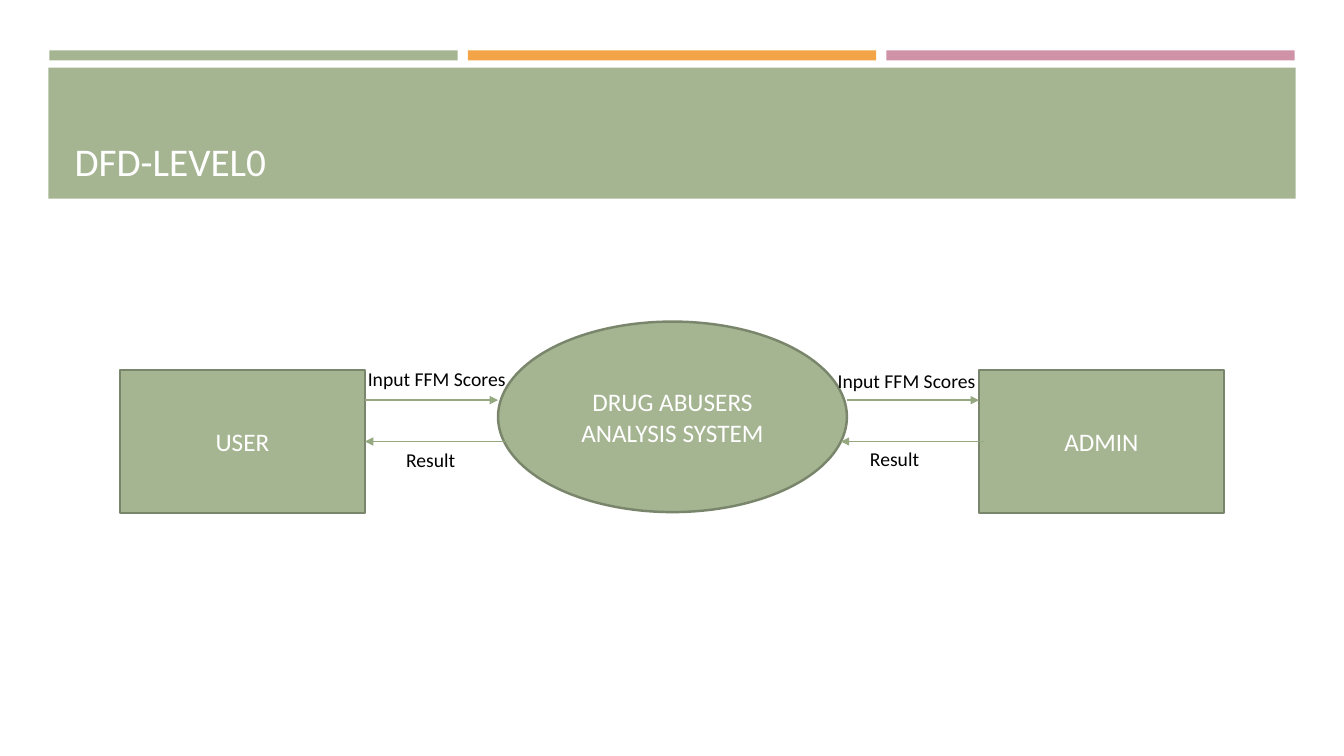
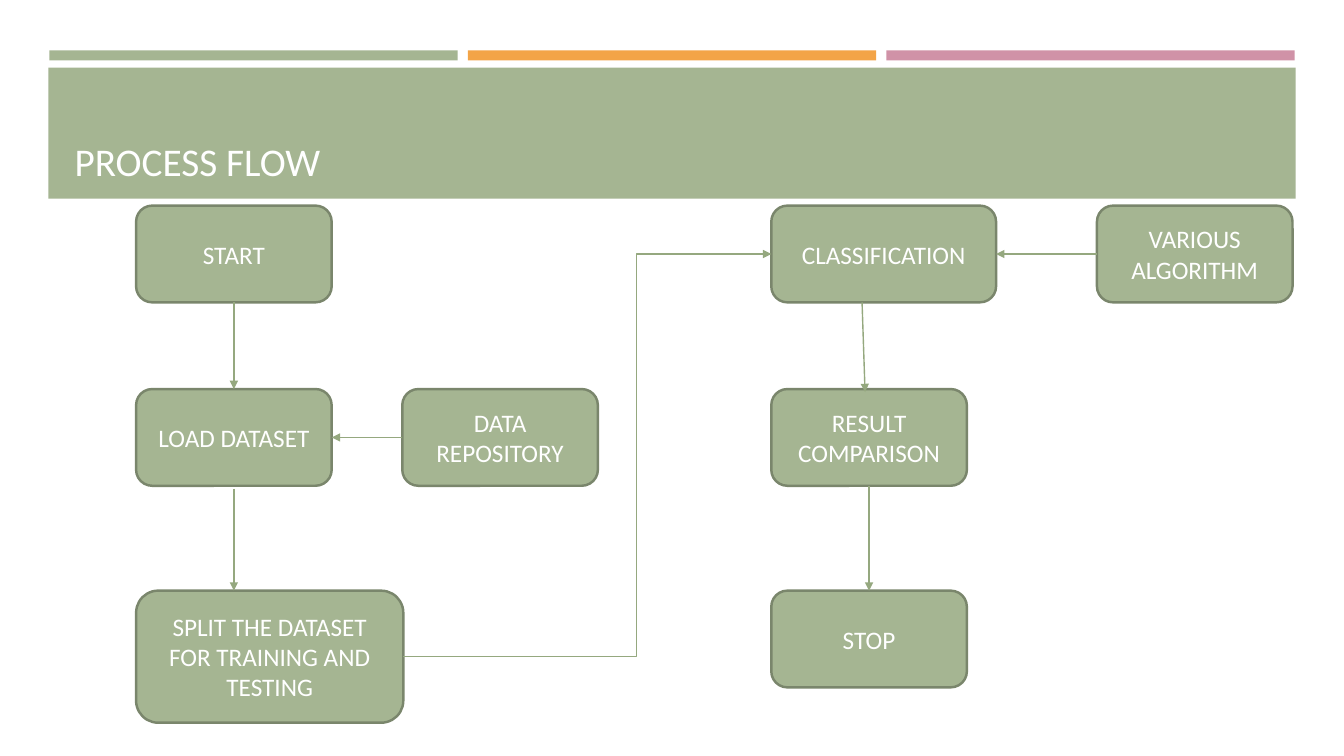
from dataclasses import dataclass

from lxml import etree
from pptx import Presentation
from pptx.dml.color import RGBColor
from pptx.enum.shapes import MSO_CONNECTOR, MSO_SHAPE
from pptx.enum.text import MSO_ANCHOR, MSO_AUTO_SIZE, PP_ALIGN
from pptx.oxml.ns import qn
from pptx.util import Inches, Pt

RECT, OVAL = MSO_SHAPE.RECTANGLE, MSO_SHAPE.OVAL
ROUND = MSO_SHAPE.ROUNDED_RECTANGLE
STRAIGHT, ELBOW = MSO_CONNECTOR.STRAIGHT, MSO_CONNECTOR.ELBOW
LEFT, CENTER = PP_ALIGN.LEFT, PP_ALIGN.CENTER
MIDDLE, BOTTOM = MSO_ANCHOR.MIDDLE, MSO_ANCHOR.BOTTOM
NO_FIT = MSO_AUTO_SIZE.NONE
SIDE_TOP, SIDE_LEFT, SIDE_BOTTOM, SIDE_RIGHT = range(4)


@dataclass(frozen=True)
class Theme:
    font: str = "Calibri"
    green: str = "A5B592"
    orange: str = "F3A447"
    pink: str = "D092A7"
    edge: str = "7A866C"
    arrow: str = "95A87F"
    white: str = "FFFFFF"
    black: str = "000000"
    title: int = 28
    node: int = 18
    label: int = 14
    border: float = 1.75
    stroke: float = 1


THEME = Theme()


def rgb(code):
    return RGBColor.from_string(code)


def write(frame, text, size, color, align):
    frame.text = text
    para = frame.paragraphs[0]
    para.alignment = align
    para.font.name = THEME.font
    para.font.size = Pt(size)
    para.font.color.rgb = rgb(color)


def block(slide, kind, box, color):
    """Add a plain filled shape; box is left, top, width, height in inches."""
    shape = slide.shapes.add_shape(kind, *map(Inches, box))
    shape.shadow.inherit = False
    shape.fill.solid()
    shape.fill.fore_color.rgb = rgb(color)
    shape.line.fill.background()
    return shape


def node(slide, kind, box, text):
    shape = block(slide, kind, box, THEME.green)
    shape.line.color.rgb = rgb(THEME.edge)
    shape.line.width = Pt(THEME.border)
    shape.text_frame.word_wrap = True
    shape.text_frame.vertical_anchor = MIDDLE
    write(shape.text_frame, text, THEME.node, THEME.white, CENTER)
    return shape


def label(slide, box, text):
    frame = slide.shapes.add_textbox(*map(Inches, box)).text_frame
    frame.word_wrap = True
    frame.margin_right = 0
    write(frame, text, THEME.label, THEME.black, LEFT)


def arrow(slide, start=(0, 0), end=(0, 0), kind=STRAIGHT):
    line = slide.shapes.add_connector(kind, *map(Inches, (*start, *end)))
    line.line.color.rgb = rgb(THEME.arrow)
    line.line.width = Pt(THEME.stroke)
    props = line.element.spPr
    etree.SubElement(props.find(qn("a:ln")), qn("a:tailEnd"), type="triangle")
    etree.SubElement(props, qn("a:effectLst"))
    return line


def join(slide, first, side, last, into, kind=STRAIGHT):
    """Draw an arrow between the middles of two shapes' sides."""
    line = arrow(slide, kind=kind)
    line.begin_connect(first, side)
    line.end_connect(last, into)
    return line


def bend(line, share):
    """Put the elbow's turn at a share of its width."""
    geom = line.element.spPr.find(qn("a:prstGeom"))
    guides = geom.find(qn("a:avLst"))
    if guides is None:
        guides = etree.SubElement(geom, qn("a:avLst"))
    etree.SubElement(guides, qn("a:gd"), name="adj1",
                     fmla=f"val {round(share * 100000)}")


def brand(layout, slide):
    """Give the layout its bands and title box, drawn by way of a slide."""
    left, width, gap = 0.49, 4.05, 0.1
    bands = [block(slide, RECT, (left + i * (width + gap), 0.5, width, 0.1), color)
             for i, color in enumerate((THEME.green, THEME.orange, THEME.pink))]
    bands.append(block(slide, RECT, (0.48, 0.67, 12.37, 1.3), THEME.green))
    title = layout.placeholders[0]
    tree = title.element.getparent()
    for spot, band in enumerate(bands, 2):
        tree.insert(spot, band.element)
    title.left, title.top, title.width, title.height = map(
        Inches, (0.64, 0.77, 12.06, 1.11))


def head(slide, text):
    frame = slide.shapes.title.text_frame
    frame.auto_size = NO_FIT
    frame.vertical_anchor = BOTTOM
    write(frame, text, THEME.title, THEME.white, LEFT)


def context(slide, left, top):
    """Draw the system between its two outside parties."""
    def at(x, y, *size):
        return (left + x, top + y, *size)

    for x, text in ((0, "USER"), (8.52, "ADMIN")):
        node(slide, RECT, at(x, 0.48, 2.43, 1.42), text)
    node(slide, OVAL, at(3.75, 0, 3.46, 1.89), "DRUG ABUSERS ANALYSIS SYSTEM")

    send, reply = 0.78, 1.19
    for begin, end, y in ((2.43, 3.75, send), (7.21, 8.52, send),
                          (8.57, 7.15, reply), (3.85, 2.43, reply)):
        arrow(slide, at(begin, y), at(end, y))
    for x, y in ((2.36, 0.4), (7.02, 0.42)):
        label(slide, at(x, y, 1.57, 0.34), "Input FFM Scores")
    for x, y in ((2.74, 1.2), (7.34, 1.19)):
        label(slide, at(x, y, 0.69, 0.34), "Result")


def process(slide, left, top):
    """Draw the steps in two columns, each with a side input."""
    rows = (0, 1.82, 3.82)
    wide, high, col = 1.94, 0.96, 6.3

    def step(x, row, text, width=wide, height=high):
        box = (left + x, top + rows[row], width, height)
        return node(slide, ROUND, box, text)

    start = step(0, 0, "START")
    load = step(0, 1, "LOAD DATASET")
    split = step(0, 2, "SPLIT THE DATASET FOR TRAINING AND TESTING", 2.65, 1.31)
    sort = step(col, 0, "CLASSIFICATION", 2.23)
    result = step(col, 1, "RESULT COMPARISON")
    stop = step(col, 2, "STOP")
    source = step(2.64, 1, "DATA REPOSITORY")
    method = step(9.53, 0, "VARIOUS ALGORITHM")

    join(slide, start, SIDE_BOTTOM, load, SIDE_TOP)
    join(slide, source, SIDE_LEFT, load, SIDE_RIGHT)
    arrow(slide, (left + wide / 2, top + 2.81), (left + wide / 2, top + rows[2]))
    link = join(slide, split, SIDE_RIGHT, sort, SIDE_LEFT, ELBOW)
    bend(link, (4.96 - 2.65) / (col - 2.65))
    join(slide, method, SIDE_LEFT, sort, SIDE_RIGHT)
    arrow(slide, (left + 7.2, top + high), (left + 7.23, top + 1.85))
    join(slide, result, SIDE_BOTTOM, stop, SIDE_TOP)


def main():
    deck = Presentation()
    deck.slide_width, deck.slide_height = Inches(13.33), Inches(7.5)
    layout = deck.slide_layouts[5]
    pages = (("DFD-LEVEL0", context, 1.19, 3.19),
             ("PROCESS FLOW", process, 1.35, 2.04))
    for i, (title, draw, left, top) in enumerate(pages):
        slide = deck.slides.add_slide(layout)
        if i == 0:
            brand(layout, slide)
        head(slide, title)
        draw(slide, left, top)
    deck.save("out.pptx")


if __name__ == "__main__":
    main()
